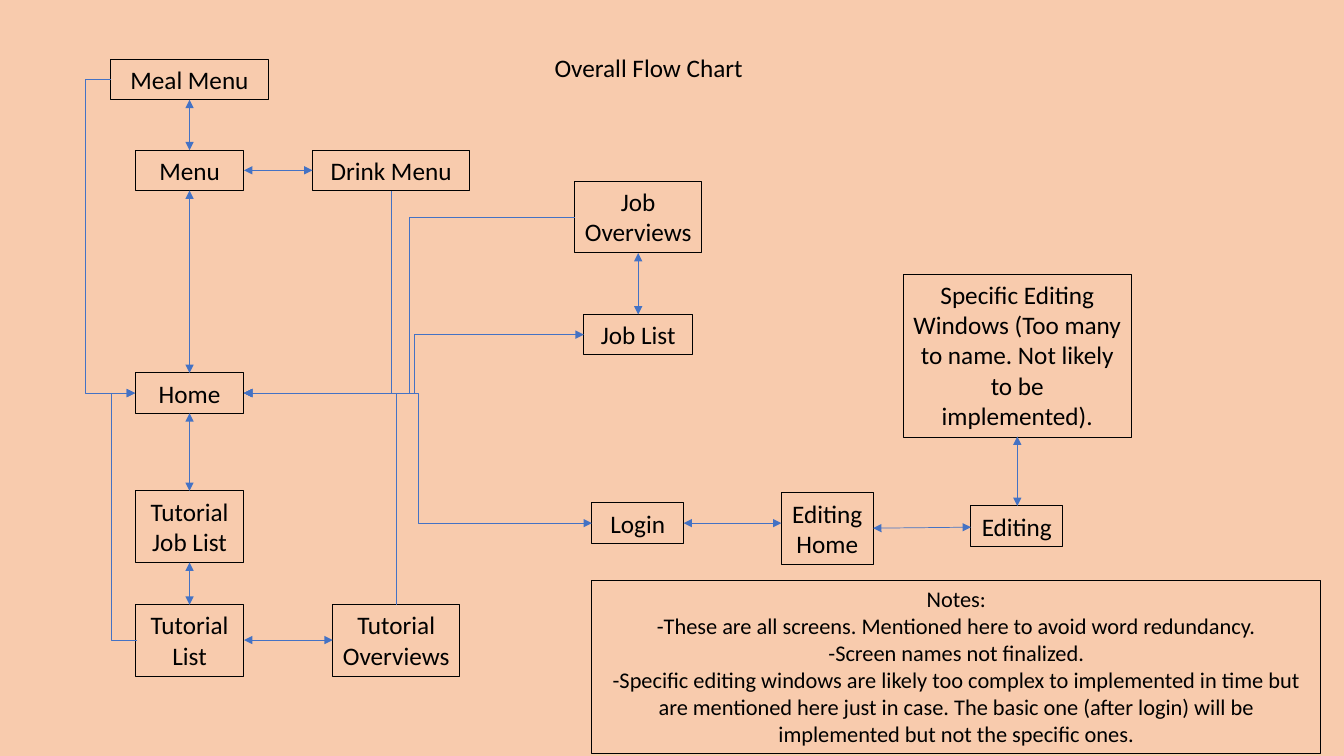
"""Build the overall flow chart slide with its screens, links and notes."""
import pptx
import pptx.util
import pptx.dml.color
import pptx.enum.shapes
import pptx.enum.text
import pptx.oxml
import pptx.oxml.ns

Inches = pptx.util.Inches
qn = pptx.oxml.ns.qn


def color(value):
    """Turn a hex string into a colour."""
    return pptx.dml.color.RGBColor.from_string(value)


def write_text(shape, text, size, alignment, wrap):
    """Fill a shape with black Calibri text."""
    frame = shape.text_frame
    frame.text = text
    frame.word_wrap = wrap
    frame.auto_size = pptx.enum.text.MSO_AUTO_SIZE.NONE
    frame.vertical_anchor = pptx.enum.text.MSO_ANCHOR.TOP
    for paragraph in frame.paragraphs:
        paragraph.alignment = alignment
        paragraph.line_spacing = 1
        paragraph.space_before = pptx.util.Pt(0)
        for run in paragraph.runs:
            run.font.name = "Calibri"
            run.font.size = pptx.util.Pt(size)
            run.font.color.rgb = color("000000")


presentation = pptx.Presentation()
presentation.slide_width = Inches(13.33)
presentation.slide_height = Inches(7.5)
slide = presentation.slides.add_slide(presentation.slide_layouts[5])
slide.background.fill.solid()
slide.background.fill.fore_color.rgb = color("F8CBAD")

title = slide.shapes.title
title.left, title.top = Inches(5.4), Inches(0.47)
title.width, title.height = Inches(2.09), Inches(0.4)
write_text(title, "Overall Flow Chart", 18, pptx.enum.text.PP_ALIGN.LEFT, False)

notes = "\n".join([
    "Notes:",
    "-These are all screens. Mentioned here to avoid word redundancy.",
    "-Screen names not finalized.",
    "-Specific editing windows are likely too complex to implemented in time but are "
    "mentioned here just in case. The basic one (after login) will be implemented but "
    "not the specific ones.",
])
boxes = [
    ("Meal Menu", 1.1, 0.59, 1.56, 0.4, 18),
    ("Menu", 1.34, 1.49, 1.08, 0.4, 18),
    ("Drink Menu", 3.1, 1.49, 1.56, 0.4, 18),
    ("Home", 1.34, 3.7, 1.08, 0.4, 18),
    ("Tutorial Job List", 1.34, 4.87, 1.08, 0.71, 18),
    ("Tutorial List", 1.34, 6, 1.08, 0.71, 18),
    ("Tutorial Overviews", 3.3, 6, 1.26, 0.71, 18),
    ("Job Overviews", 5.7, 1.8, 1.26, 0.71, 18),
    ("Job List", 5.79, 3.12, 1.08, 0.4, 18),
    ("Login", 5.87, 4.99, 0.91, 0.4, 18),
    ("Editing Home", 7.75, 4.89, 0.91, 0.71, 18),
    ("Editing", 9.63, 5.02, 0.91, 0.4, 18),
    ("Specific Editing Windows (Too many to name. Not likely to be implemented).",
     8.96, 2.72, 2.26, 1.62, 18),
    (notes, 5.87, 5.76, 7.23, 1.72, 16),
]
for text, left, top, width, height, size in boxes:
    box = slide.shapes.add_shape(
        pptx.enum.shapes.MSO_SHAPE.RECTANGLE,
        Inches(left), Inches(top), Inches(width), Inches(height))
    box.shadow.inherit = False
    box.fill.background()
    box.line.color.rgb = color("000000")
    box.line.width = pptx.util.Pt(0.75)
    write_text(box, text, size, pptx.enum.text.PP_ALIGN.CENTER, True)

both = ("headEnd", "tailEnd")
links = [
    (1.88, 0.99, 1.88, 1.49, None, both),
    (1.88, 1.89, 1.88, 3.7, None, both),
    (1.88, 4.1, 1.88, 4.87, None, both),
    (1.88, 5.58, 1.88, 6, None, both),
    (2.42, 1.69, 3.1, 1.69, None, both),
    (2.42, 6.35, 3.3, 6.35, None, both),
    (6.33, 2.51, 6.33, 3.12, None, both),
    (6.78, 5.19, 7.75, 5.19, None, both),
    (8.66, 5.24, 9.63, 5.23, None, both),
    (10.09, 4.33, 10.09, 5.02, None, both),
    (2.42, 3.9, 5.79, 3.32, 4.11, both),
    (2.42, 3.9, 5.87, 5.19, 4.15, both),
    (1.1, 0.79, 1.34, 3.9, 0.85, ("tailEnd",)),
    (1.36, 6.35, 1.34, 3.9, 1.11, ("tailEnd",)),
    (2.42, 3.9, 3.93, 6, 3.93, ("headEnd",)),
    (2.42, 3.9, 3.88, 1.9, 3.88, ("headEnd",)),
    (5.7, 2.16, 2.42, 3.9, 4.06, ("tailEnd",)),
]
for start_x, start_y, end_x, end_y, bend_x, arrows in links:
    kind = "STRAIGHT" if bend_x is None else "ELBOW"
    link = slide.shapes.add_connector(
        pptx.enum.shapes.MSO_CONNECTOR[kind],
        Inches(start_x), Inches(start_y), Inches(end_x), Inches(end_y))
    link.line.color.rgb = color("4472C4")
    link.line.width = pptx.util.Pt(0.5)
    properties = link._element.spPr
    geometry = properties.find(qn("a:prstGeom"))
    if bend_x == end_x:
        geometry.set("prst", "bentConnector2")
    elif bend_x is not None:
        share = round((bend_x - start_x) / (end_x - start_x) * 100000)
        guide = pptx.oxml.ns.qn("a:gd")
        adjustment = geometry.find(qn("a:avLst")).makeelement(
            guide, {"name": "adj1", "fmla": f"val {share}"})
        geometry.find(qn("a:avLst")).append(adjustment)
    outline = properties.find(qn("a:ln"))
    for arrow in arrows:
        outline.append(outline.makeelement(qn(f"a:{arrow}"), {"type": "triangle"}))
    properties.append(properties.makeelement(qn("a:effectLst"), {}))

presentation.save("out.pptx")
